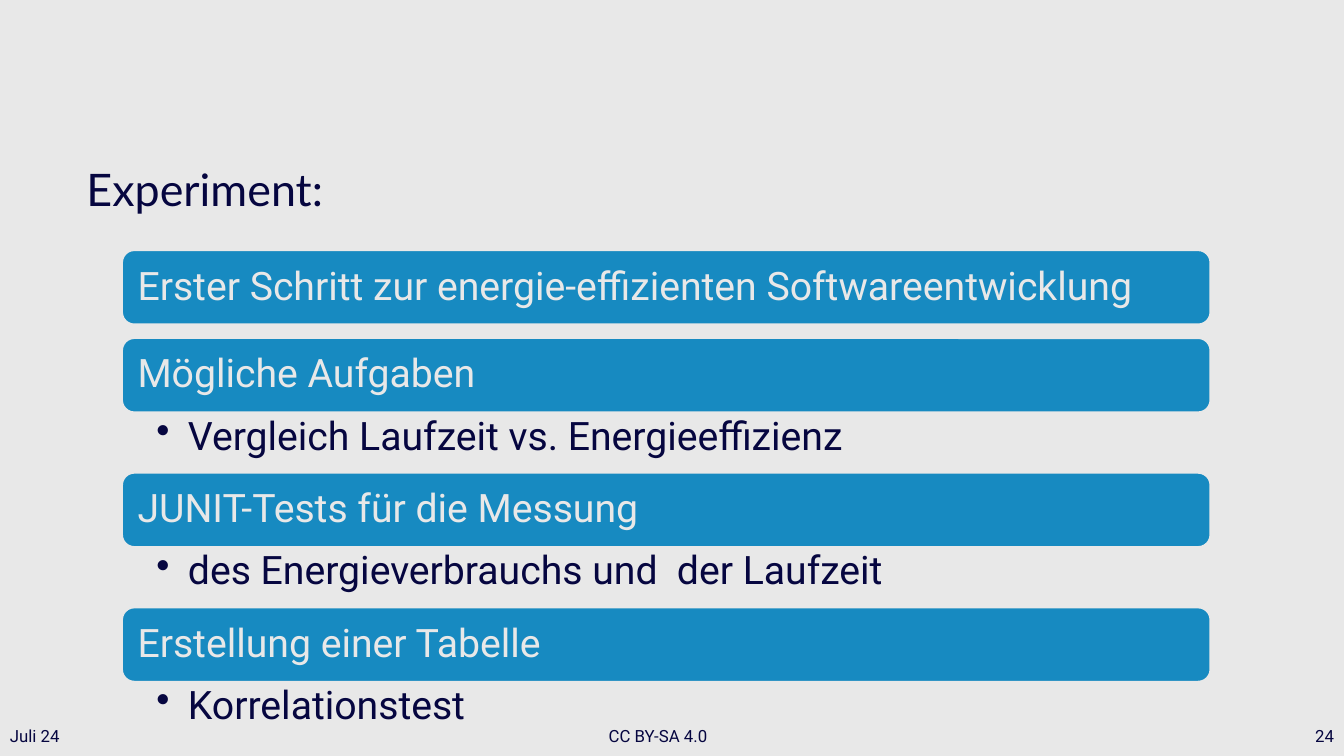
"""Build the experiment slide with its task bars, bullets and footer."""
from dataclasses import dataclass
from typing import Any

from lxml import etree
from pptx import Presentation
from pptx.dml.color import RGBColor
from pptx.enum.shapes import MSO_SHAPE
from pptx.enum.text import MSO_ANCHOR, PP_ALIGN
from pptx.oxml.ns import qn
from pptx.util import Pt

ROUNDED = MSO_SHAPE.ROUNDED_RECTANGLE
TOP, MIDDLE = MSO_ANCHOR.TOP, MSO_ANCHOR.MIDDLE
LEFT, CENTER, RIGHT = PP_ALIGN.LEFT, PP_ALIGN.CENTER, PP_ALIGN.RIGHT

GREY = RGBColor(0xE8, 0xE8, 0xE8)
NAVY = RGBColor(0x06, 0x06, 0x40)
BLUE = RGBColor(0x17, 0x8A, 0xC1)

STEP_LEFT, STEP_WIDTH = 87.1, 777.6
FIRST_TOP, BAR_HEIGHT, BAR_GAP, DETAIL_HEIGHT = 178.6, 53.2, 9.6, 43
BULLET_INDENT = 22.5


@dataclass(frozen=True)
class Step:
    heading: str
    detail: str = ""


@dataclass(frozen=True)
class FooterItem:
    text: str
    left: float
    width: float
    align: PP_ALIGN


STEPS = (
    Step("Erster Schritt zur energie-effizienten Softwareentwicklung"),
    Step("Mögliche Aufgaben", "Vergleich Laufzeit vs. Energieeffizienz"),
    Step("JUNIT-Tests für die Messung", "des Energieverbrauchs und  der Laufzeit"),
    Step("Erstellung einer Tabelle", "Korrelationstest"),
)
FOOTER = (
    FooterItem("Juli 24", 0, 216, LEFT),
    FooterItem("CC BY-SA 4.0", 308, 324, CENTER),
    FooterItem("24", 744, 216, RIGHT),
)


def write(
    holder: Any,
    text: str,
    *,
    size: float = 28,
    font: str = "Roboto",
    color: RGBColor = NAVY,
    align: PP_ALIGN = LEFT,
    anchor: MSO_ANCHOR = MIDDLE,
    insets: tuple[float, float, float, float] = (7.2, 3.6, 7.2, 3.6),
    spacing: float = 0.9,
    bullet: bool = False,
) -> None:
    """Write one formatted paragraph into a shape."""
    frame = holder.text_frame
    frame.word_wrap = True
    frame.vertical_anchor = anchor
    frame.margin_left, frame.margin_top, frame.margin_right, frame.margin_bottom = map(Pt, insets)
    paragraph = frame.paragraphs[0]
    paragraph.alignment = align
    paragraph.line_spacing = spacing
    run = paragraph.add_run()
    run.text = text
    run.font.size = Pt(size)
    run.font.name = font
    run.font.color.rgb = color
    if bullet:
        properties = paragraph._p.get_or_add_pPr()
        properties.set("marL", str(Pt(BULLET_INDENT)))
        properties.set("indent", str(-Pt(BULLET_INDENT)))
        etree.SubElement(properties, qn("a:buChar")).set("char", "•")


def add_box(shapes: Any, left: float, top: float, width: float, height: float) -> Any:
    """Add an empty text box."""
    return shapes.add_textbox(Pt(left), Pt(top), Pt(width), Pt(height))


def draw_step(shapes: Any, step: Step, top: float) -> float:
    """Draw a bar with its optional bullet and return the next bar's top."""
    bar = shapes.add_shape(ROUNDED, Pt(STEP_LEFT), Pt(top), Pt(STEP_WIDTH), Pt(BAR_HEIGHT))
    bar.shadow.inherit = False
    bar.fill.solid()
    bar.fill.fore_color.rgb = BLUE
    bar.line.color.rgb = GREY
    bar.line.width = Pt(1.5)
    write(bar, step.heading, color=GREY, insets=(8.6, 8.6, 8.6, 8.6))
    bottom = top + BAR_HEIGHT
    if not step.detail:
        return bottom + BAR_GAP
    detail = add_box(shapes, STEP_LEFT, bottom, STEP_WIDTH, DETAIL_HEIGHT)
    write(detail, step.detail, anchor=TOP, insets=(24.7, 2.8, 15.8, 2.8), bullet=True)
    return bottom + DETAIL_HEIGHT


def draw_footer_item(shapes: Any, item: FooterItem) -> None:
    """Draw one piece of the footer."""
    box = add_box(shapes, item.left, 511.2, item.width, 28.8)
    write(box, item.text, size=12, align=item.align, spacing=1.0)


def main() -> None:
    """Build and save the slide."""
    deck = Presentation()
    deck.slide_width, deck.slide_height = Pt(960), Pt(540)
    slide = deck.slides.add_slide(deck.slide_layouts[6])
    slide.background.fill.solid()
    slide.background.fill.fore_color.rgb = GREY

    title = add_box(slide.shapes, 54.7, 103, 820.8, 67.7)
    write(title, "Experiment:", size=32, font="Lato")
    for item in FOOTER:
        draw_footer_item(slide.shapes, item)
    top = FIRST_TOP
    for step in STEPS:
        top = draw_step(slide.shapes, step, top)
    deck.save("out.pptx")


if __name__ == "__main__":
    main()
